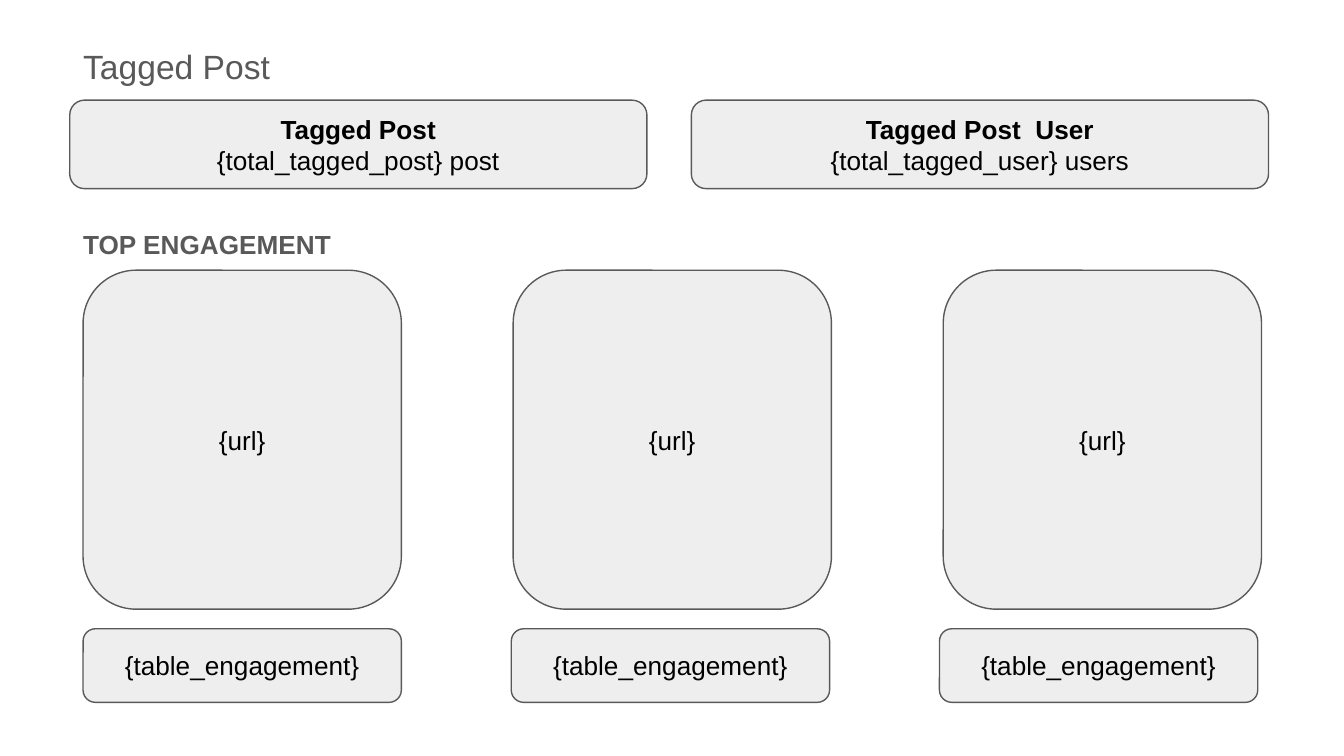
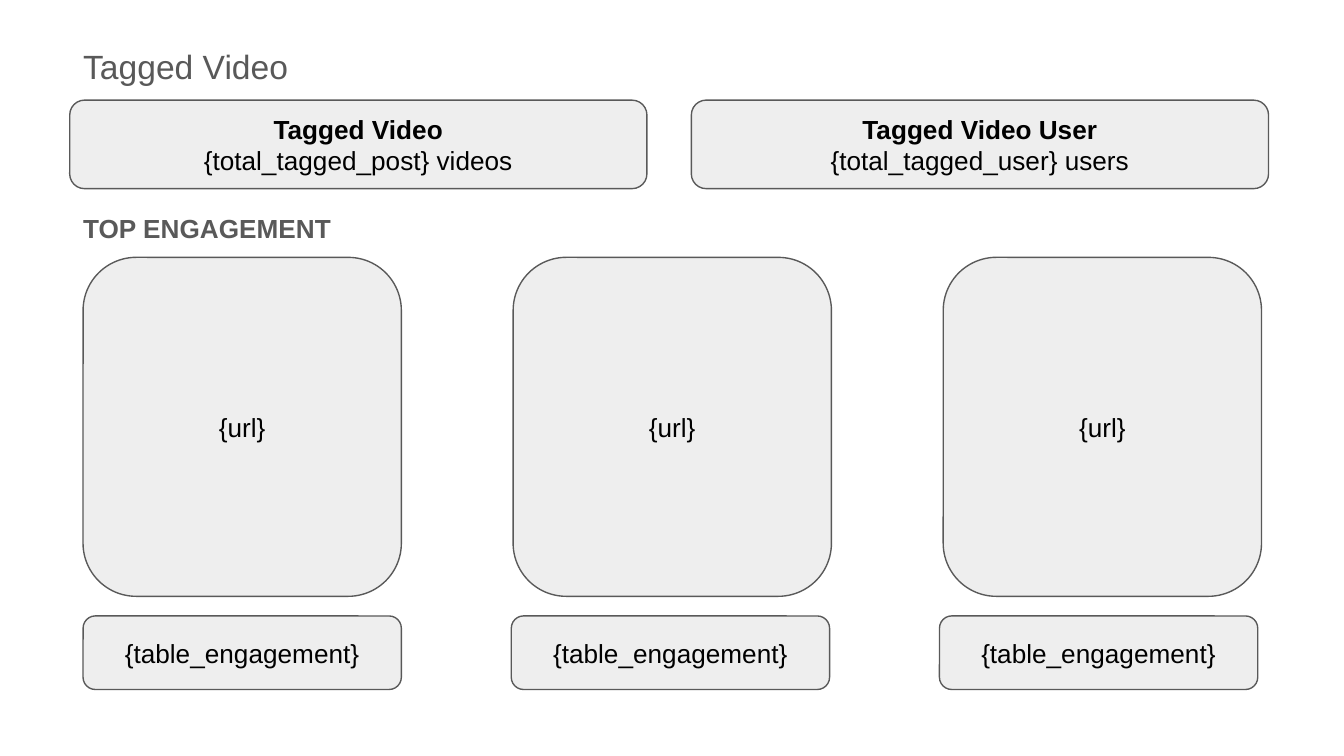
from dataclasses import dataclass

from pptx import Presentation
from pptx.dml.color import RGBColor
from pptx.enum.shapes import MSO_SHAPE
from pptx.enum.text import MSO_ANCHOR, MSO_AUTO_SIZE, PP_ALIGN
from pptx.slide import Slide
from pptx.text.text import TextFrame
from pptx.util import Pt

ROUNDED = MSO_SHAPE.ROUNDED_RECTANGLE
TOP, MIDDLE = MSO_ANCHOR.TOP, MSO_ANCHOR.MIDDLE
LEFT, CENTER = PP_ALIGN.LEFT, PP_ALIGN.CENTER
FIXED, GROW = MSO_AUTO_SIZE.NONE, MSO_AUTO_SIZE.SHAPE_TO_FIT_TEXT
TITLE_ONLY = 5

# Shared look, lengths in points
COLORS = {"page": "FFFFFF", "panel": "EEEEEE", "gray": "595959", "text": "000000"}
FONT = "Arial"
TITLE_SIZE, BODY_SIZE = 18, 14
INSET = 7.2
MARGIN = 37.4
COLUMNS = 3


@dataclass(frozen=True)
class Area:
    left: float
    top: float
    width: float
    height: float

    def shifted(self, step: float) -> "Area":
        return Area(self.left + step, self.top, self.width, self.height)


@dataclass(frozen=True)
class Report:
    title: str
    user_label: str
    unit: str
    heading_top: float
    cards_top: float


REPORTS = [
    Report("Tagged Post", "Tagged Post  User", "post", 115.2, 144.8),
    Report("Tagged Video", "Tagged Video User", "videos", 106.6, 137.9),
]
TITLE_AREA = Area(MARGIN, 17.3, 165.6, 23.8)
TOTAL_AREA, TOTAL_STEP = Area(MARGIN, 53.7, 309.2, 47.4), 333
CARD_STEP, TABLE_STEP = 230.4, 229.4
TABLE_OFFSET = 192.1


def color(name: str) -> RGBColor:
    return RGBColor.from_string(COLORS[name])


def place(box, area: Area) -> None:
    box.left, box.top = Pt(area.left), Pt(area.top)
    box.width, box.height = Pt(area.width), Pt(area.height)


def write(frame: TextFrame, lines: list[str], size: float, ink: str,
          align: PP_ALIGN, anchor: MSO_ANCHOR, bold_first: bool = False) -> None:
    """Fill a frame with lines; only the first one may be bold."""
    frame.text = "\n".join(lines)
    frame.word_wrap = True
    frame.auto_size = FIXED
    frame.vertical_anchor = anchor
    frame.margin_left = frame.margin_right = Pt(INSET)
    frame.margin_top = frame.margin_bottom = Pt(INSET)
    for index, para in enumerate(frame.paragraphs):
        para.alignment = align
        for span in para.runs:
            span.font.name = FONT
            span.font.size = Pt(size)
            span.font.bold = bold_first and index == 0
            span.font.color.rgb = color(ink)


def add_panel(page: Slide, area: Area, lines: list[str], bold_first: bool = False) -> None:
    box = page.shapes.add_shape(ROUNDED, 0, 0, 0, 0)
    place(box, area)
    box.shadow.inherit = False
    box.fill.solid()
    box.fill.fore_color.rgb = color("panel")
    box.line.color.rgb = color("gray")
    box.line.width = Pt(0.75)
    write(box.text_frame, lines, BODY_SIZE, "text", CENTER, MIDDLE, bold_first)


def add_panel_row(page: Slide, first: Area, step: float, label: str) -> None:
    for column in range(COLUMNS):
        add_panel(page, first.shifted(column * step), [label])


def add_report(deck, report: Report) -> None:
    page = deck.slides.add_slide(deck.slide_layouts[TITLE_ONLY])
    page.background.fill.solid()
    page.background.fill.fore_color.rgb = color("page")

    # Title
    title = page.shapes.title
    place(title, TITLE_AREA)
    write(title.text_frame, [report.title], TITLE_SIZE, "gray", LEFT, TOP)

    # Totals
    totals = [
        [report.title, f"{{total_tagged_post}} {report.unit}"],
        [report.user_label, "{total_tagged_user} users"],
    ]
    for column, lines in enumerate(totals):
        add_panel(page, TOTAL_AREA.shifted(column * TOTAL_STEP), lines, bold_first=True)

    # Section heading
    heading = page.shapes.add_textbox(0, 0, 0, 0)
    place(heading, Area(MARGIN, report.heading_top, 236.2, 31.7))
    write(heading.text_frame, ["TOP ENGAGEMENT"], BODY_SIZE, "gray", LEFT, TOP, bold_first=True)
    heading.text_frame.auto_size = GROW

    # Top posts with their engagement tables
    card = Area(44.5, report.cards_top, 170.5, 181.6)
    table = Area(card.left, card.top + TABLE_OFFSET, card.width, 39.4)
    add_panel_row(page, card, CARD_STEP, "{url}")
    add_panel_row(page, table, TABLE_STEP, "{table_engagement}")


def main() -> None:
    deck = Presentation()
    deck.slide_width, deck.slide_height = Pt(720), Pt(405)
    for report in REPORTS:
        add_report(deck, report)
    deck.save("out.pptx")


if __name__ == "__main__":
    main()
